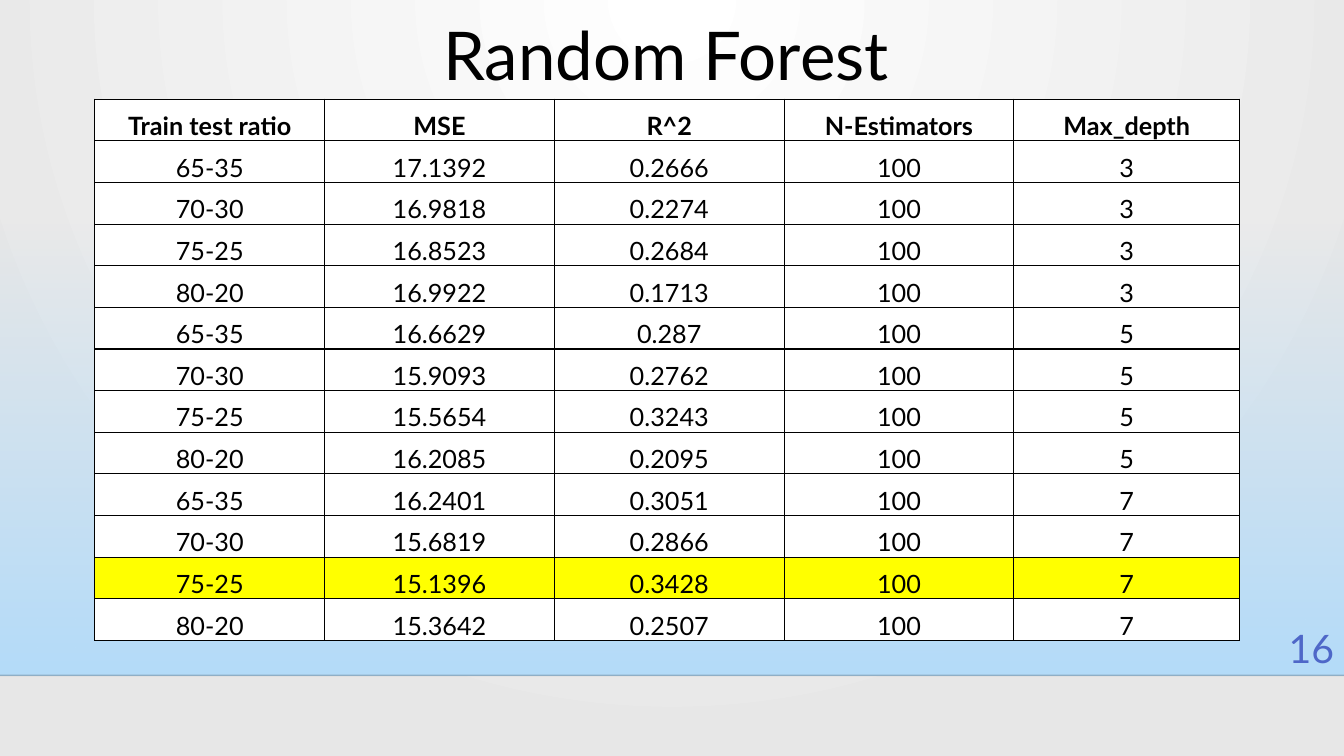
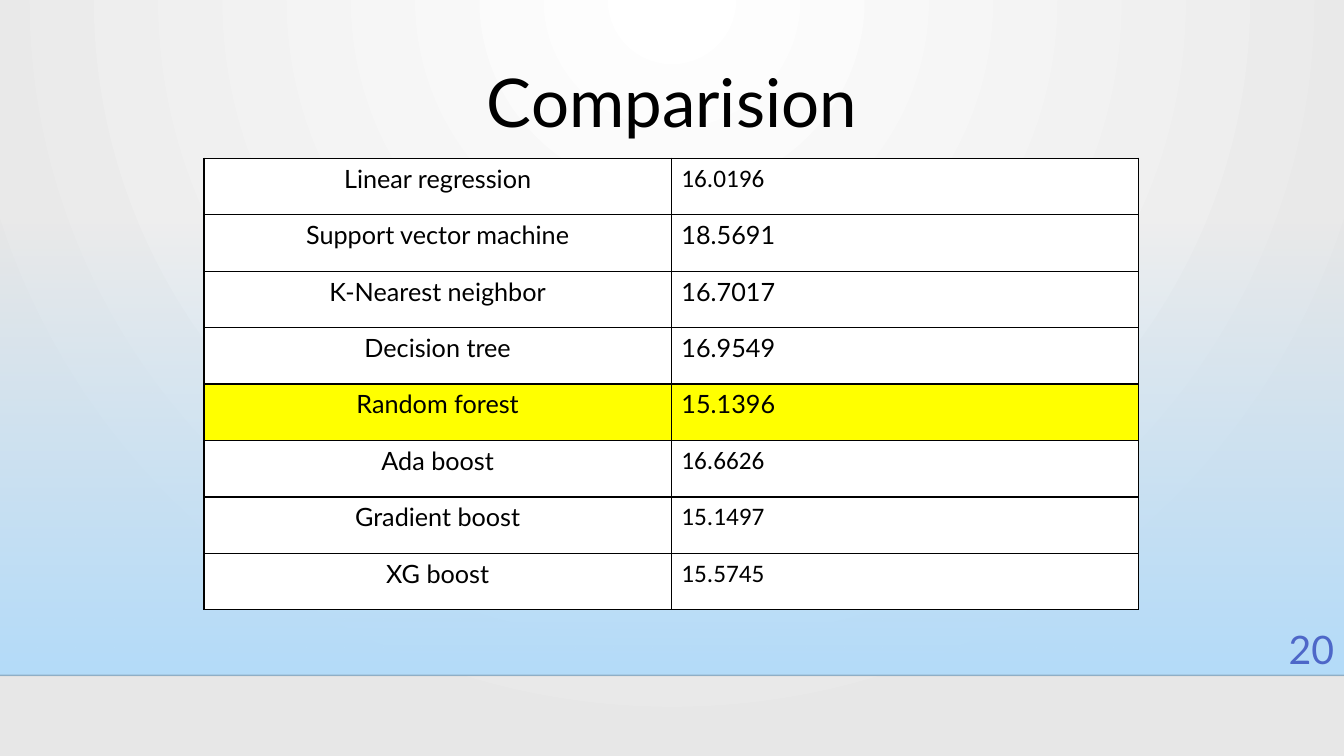
from pptx import Presentation
from pptx.dml.color import RGBColor
from pptx.enum import shapes, text
from pptx.oxml import parse_xml
from pptx.oxml.ns import nsdecls
from pptx.util import Cm, Pt

BLACK = RGBColor(0x00, 0x00, 0x00)
WHITE = RGBColor(0xFF, 0xFF, 0xFF)
GREY = RGBColor(0xE7, 0xE7, 0xE7)
SKY = RGBColor(0xB4, 0xDC, 0xFA)
INDIGO = RGBColor(0x4E, 0x67, 0xC8)
YELLOW = RGBColor(0xFF, 0xFF, 0x00)

FONT, FIGURE_FONT = "Lato", "Calibri"
WIDTH, HEIGHT = Cm(33.87), Cm(19.05)
BAND_TOP, BAND_BOTTOM = Cm(5.62), Cm(17.02)
CENTER, LEFT, RIGHT = text.PP_ALIGN.CENTER, text.PP_ALIGN.LEFT, text.PP_ALIGN.RIGHT

FOREST_ROWS = [
    ("Train test ratio", "MSE", "R^2", "N-Estimators", "Max_depth"),
    ("65-35", "17.1392", "0.2666", "100", "3"),
    ("70-30", "16.9818", "0.2274", "100", "3"),
    ("75-25", "16.8523", "0.2684", "100", "3"),
    ("80-20", "16.9922", "0.1713", "100", "3"),
    ("65-35", "16.6629", "0.287", "100", "5"),
    ("70-30", "15.9093", "0.2762", "100", "5"),
    ("75-25", "15.5654", "0.3243", "100", "5"),
    ("80-20", "16.2085", "0.2095", "100", "5"),
    ("65-35", "16.2401", "0.3051", "100", "7"),
    ("70-30", "15.6819", "0.2866", "100", "7"),
    ("75-25", "15.1396", "0.3428", "100", "7"),
    ("80-20", "15.3642", "0.2507", "100", "7"),
]
MODEL_ROWS = [
    ("Linear regression", "16.0196"),
    ("Support vector machine", "18.5691"),
    ("K-Nearest neighbor", "16.7017"),
    ("Decision tree", "16.9549"),
    ("Random forest", "15.1396"),
    ("Ada boost", "16.6626"),
    ("Gradient boost", "15.1497"),
    ("XG boost", "15.5745"),
]
BEST_MSE = "15.1396"
CALIBRI_FIGURES = {"16.0196", "16.6626", "15.1497", "15.5745"}


def style(paragraph, size, color=BLACK, align=CENTER, font=FONT, bold=False):
    paragraph.alignment = align
    for run in paragraph.runs:
        run.font.name, run.font.size, run.font.bold = font, Pt(size), bold
        run.font.color.rgb = color


def set_gradient(fill, first, last):
    fill.gradient()
    for stop, color in zip(fill.gradient_stops, (first, last)):
        stop.color.rgb = color


def set_opacity(color_element, percent):
    color_element.append(parse_xml(f'<a:alpha {nsdecls("a")} val="{percent * 1000}"/>'))


def set_backdrop(master, slide):
    """Give the master its background, band and rule, drawn on slide and then moved."""
    set_gradient(master.background.fill, WHITE, GREY)
    linear = master.element.xpath(".//p:bg//a:lin")[0]
    linear.getparent().replace(linear, parse_xml(
        f'<a:path {nsdecls("a")} path="circle">'
        '<a:fillToRect l="43000" r="43000" b="100000"/></a:path>'))

    band = slide.shapes.add_shape(
        shapes.MSO_SHAPE.RECTANGLE, 0, BAND_TOP, WIDTH, BAND_BOTTOM - BAND_TOP)
    band.shadow.inherit = False
    band.line.fill.background()
    set_gradient(band.fill, SKY, SKY)
    band.fill.gradient_angle = 270
    set_opacity(band.element.xpath(".//a:gs/a:srgbClr")[0], 0)

    rule = slide.shapes.add_connector(
        shapes.MSO_CONNECTOR.STRAIGHT, 0, BAND_BOTTOM, WIDTH, BAND_BOTTOM)
    rule.line.width = Pt(1)
    rule.line.color.rgb = BLACK
    set_opacity(rule.element.xpath(".//a:ln//a:srgbClr")[0], 20)
    rule.element.spPr.append(parse_xml(f'<a:effectLst {nsdecls("a")}/>'))

    for number, part in enumerate((band, rule), start=101):
        part.element.xpath(".//p:cNvPr")[0].set("id", str(number))
        master.shapes.element.append(part.element)


def set_title(slide, words, left, top):
    title = slide.shapes.title
    title.left, title.top, title.width, title.height = left, top, WIDTH, Cm(2.31)
    title.text_frame.text = words
    title.text_frame.auto_size = text.MSO_AUTO_SIZE.SHAPE_TO_FIT_TEXT
    style(title.text_frame.paragraphs[0], 48)


def add_page_number(slide, number, top):
    page = slide.shapes.add_textbox(Cm(31.62), top, Cm(2.25), Cm(1.4)).text_frame
    page.word_wrap = True
    page.text = str(number)
    style(page.paragraphs[0], 28, INDIGO, RIGHT)


def set_borders(cell):
    properties = cell._tc.get_or_add_tcPr()
    for place, side in enumerate("LRTB"):
        properties.insert(place, parse_xml(
            f'<a:ln{side} {nsdecls("a")} w="12700"><a:solidFill>'
            f'<a:srgbClr val="{BLACK}"/></a:solidFill></a:ln{side}>'))


def add_grid(slide, rows, left, top, widths, height):
    """Add a bordered table with the best result in yellow; return its table."""
    grid = slide.shapes.add_table(
        len(rows), len(widths), left, top, sum(widths), height).table
    grid.first_row = grid.horz_banding = False
    for column, width in zip(grid.columns, widths):
        column.width = width
    for r, row in enumerate(rows):
        for c, words in enumerate(row):
            cell = grid.cell(r, c)
            cell.text_frame.text = words
            cell.fill.solid()
            cell.fill.fore_color.rgb = YELLOW if BEST_MSE in row else WHITE
            set_borders(cell)
    return grid


def build_forest(slide):
    set_title(slide, "Random Forest", Cm(-0.15), Cm(0.2))
    grid = add_grid(slide, FOREST_ROWS, Cm(2.39), Cm(2.5),
                    [Cm(5.79)] * 4 + [Cm(5.69)], Cm(13.64))
    for r, row in enumerate(grid.rows):
        for cell in row.cells:
            cell.vertical_anchor = text.MSO_ANCHOR.BOTTOM
            cell.margin_left = cell.margin_right = cell.margin_top = Cm(0.02)
            cell.margin_bottom = 0
            style(cell.text_frame.paragraphs[0], 18, bold=r == 0)
    add_page_number(slide, 16, Cm(15.6))


def build_comparison(slide):
    set_title(slide, "Comparision", 0, Cm(1.37))
    grid = add_grid(slide, MODEL_ROWS, Cm(5.14), Cm(3.99), [Cm(11.78)] * 2, Cm(11.38))
    for row in grid.rows:
        model, mse = (cell.text_frame.paragraphs[0] for cell in row.cells)
        style(model, 18)
        style(mse, 18, align=LEFT,
              font=FIGURE_FONT if mse.text in CALIBRI_FIGURES else FONT)
    add_page_number(slide, 20, Cm(15.63))


def main():
    deck = Presentation()
    deck.slide_width, deck.slide_height = WIDTH, HEIGHT
    title_only = deck.slide_layouts[5]
    forest, comparison = (deck.slides.add_slide(title_only) for _ in range(2))
    set_backdrop(deck.slide_master, forest)
    build_forest(forest)
    build_comparison(comparison)
    deck.save("out.pptx")


if __name__ == "__main__":
    main()
